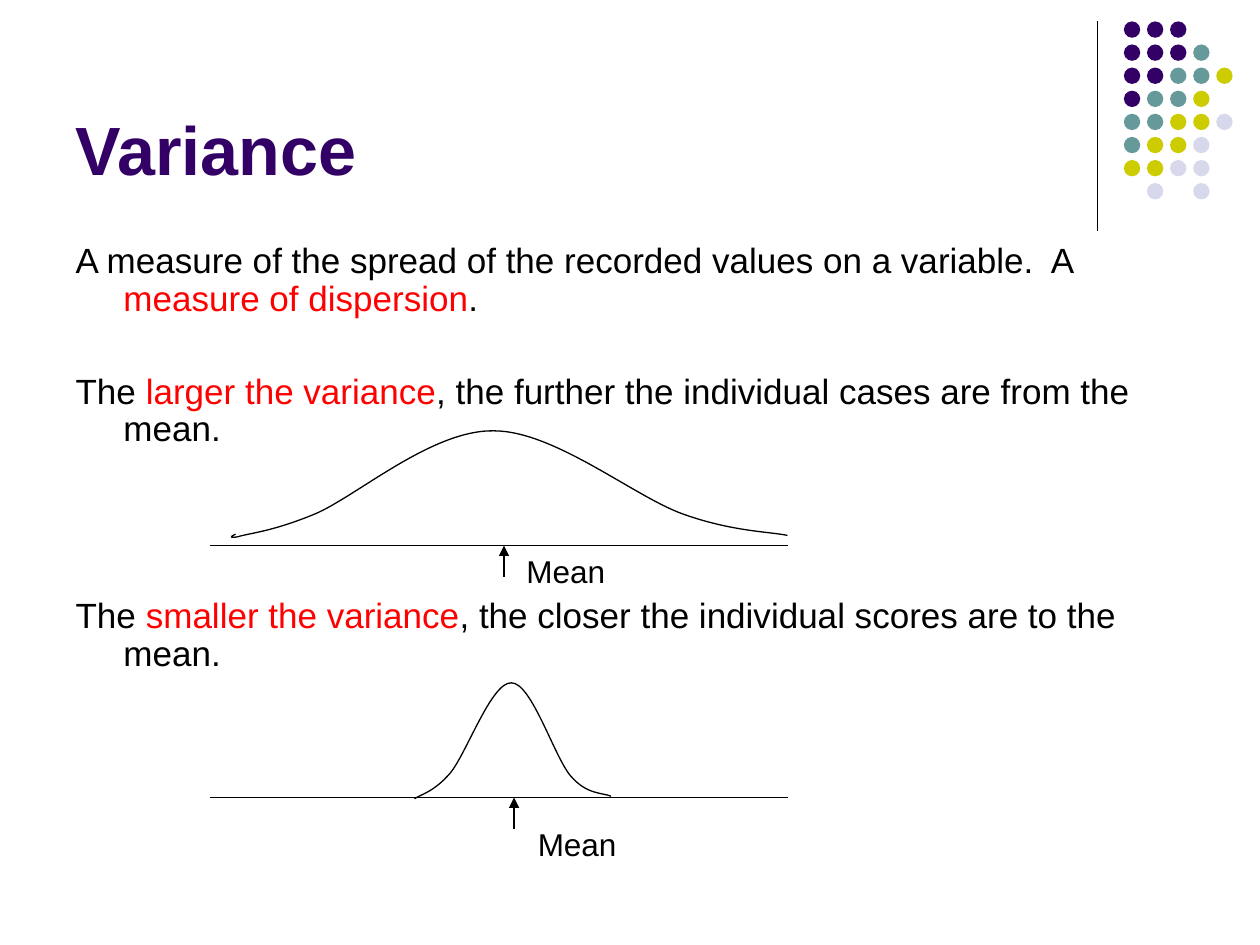
from lxml.etree import SubElement
from pptx import Presentation
from pptx.dml.color import RGBColor
from pptx.enum.shapes import MSO_CONNECTOR, MSO_SHAPE
from pptx.enum.text import MSO_ANCHOR, MSO_AUTO_SIZE, PP_ALIGN
from pptx.oxml.ns import qn
from pptx.util import Inches, Pt

BLACK, RED, PURPLE = "000000", "FF0000", "330066"
TEAL, OLIVE, LILAC = "669999", "CCCC00", "D8D8EC"


def add_run(paragraph, text, size=20, color=BLACK, bold=False):
    run = paragraph.add_run()
    run.text = text
    run.font.name = "Arial"
    run.font.size = Pt(size)
    run.font.bold = bold
    run.font.color.rgb = RGBColor.from_string(color)


presentation = Presentation()
presentation.slide_width = Inches(10)
presentation.slide_height = Inches(7.5)
slide = presentation.slides.add_slide(presentation.slide_layouts[1])

# Corner decoration: one letter per dot, a space where there is none
dot_colors = {"P": PURPLE, "T": TEAL, "O": OLIVE, "L": LILAC}
dot_rows = ["PPP", "PPPT", "PPTTO", "PTTO", "TTOOL", "TOOL", "OOLL", " L L"]
dot_pitch = 0.55 / 3
dots = slide.shapes.add_group_shape()
for row, letters in enumerate(dot_rows):
    for column, letter in enumerate(letters):
        if letter == " ":
            continue
        dot = dots.shapes.add_shape(
            MSO_SHAPE.OVAL, Inches(8.92 + column * dot_pitch),
            Inches(0.17 + row * dot_pitch), Inches(0.13), Inches(0.13))
        dot.shadow.inherit = False
        dot.fill.solid()
        dot.fill.fore_color.rgb = RGBColor.from_string(dot_colors[letter])
        dot.line.fill.background()

# Title
title = slide.shapes.title
title.left, title.top = Inches(0.5), Inches(0.13)
title.width, title.height = Inches(8.25), Inches(1.42)
title.text_frame.auto_size = MSO_AUTO_SIZE.NONE
title.text_frame.vertical_anchor = MSO_ANCHOR.BOTTOM
title.text_frame.paragraphs[0].alignment = PP_ALIGN.LEFT
add_run(title.text_frame.paragraphs[0], "Variance", size=39, color=PURPLE, bold=True)

# Body: space before, then plain, highlighted and plain text
statements = [
    (0, "A measure of the spread of the recorded values on a variable.  A ",
     "measure of dispersion", "."),
    (31.5, "The ", "larger the variance",
     ", the further the individual cases are from the mean."),
    (85, "The ", "smaller the variance",
     ", the closer the individual scores are to the mean."),
]
body = slide.placeholders[1]
body.left, body.top = Inches(0.5), Inches(1.88)
body.width, body.height = Inches(9), Inches(4.82)
body.text_frame.auto_size = MSO_AUTO_SIZE.NONE
for index, (space_before, opening, highlight, ending) in enumerate(statements):
    paragraph = body.text_frame.add_paragraph() if index else body.text_frame.paragraphs[0]
    properties = paragraph._p.get_or_add_pPr()
    properties.set("marL", str(Inches(0.38)))
    properties.set("indent", str(-Inches(0.38)))
    SubElement(properties, qn("a:buNone"))
    paragraph.line_spacing = 0.9
    paragraph.space_before = Pt(space_before)
    add_run(paragraph, opening)
    add_run(paragraph, highlight, color=RED)
    add_run(paragraph, ending)

# Distribution curves: start, then two control points and an end per segment
wide_curve = [
    (1.87, 4.24),
    (1.87, 4.24), (1.78, 4.28), (1.89, 4.26),
    (1.99, 4.23), (2.16, 4.22), (2.5, 4.08),
    (2.83, 3.94), (3.43, 3.41), (3.92, 3.42),
    (4.4, 3.42), (5.03, 3.94), (5.42, 4.08),
    (5.81, 4.22), (6.11, 4.22), (6.25, 4.25),
]
narrow_curve = [
    (3.29, 6.34),
    (3.33, 6.31), (3.44, 6.29), (3.57, 6.14),
    (3.7, 5.99), (3.9, 5.41), (4.06, 5.42),
    (4.22, 5.42), (4.4, 6.01), (4.53, 6.16),
    (4.66, 6.31), (4.78, 6.29), (4.85, 6.32),
]
for points in (wide_curve, narrow_curve):
    start, *others = [(Inches(x), Inches(y)) for x, y in points]
    builder = slide.shapes.build_freeform(*start)
    builder.add_line_segments(others, close=False)
    curve = builder.convert_to_shape()
    # Merge every three straight segments into one cubic curve
    outline = next(curve._element.iter(qn("a:path")))
    straight_segments = outline.findall(qn("a:lnTo"))
    for first in range(0, len(straight_segments), 3):
        cubic = SubElement(outline, qn("a:cubicBezTo"))
        for segment in straight_segments[first:first + 3]:
            cubic.append(segment[0])
            outline.remove(segment)
    curve.shadow.inherit = False
    curve.fill.background()
    curve.line.color.rgb = RGBColor.from_string(BLACK)
    curve.line.width = Pt(0.75)

# Divider, axes and mean arrows
lines = [
    (8.71, 0.17, 8.71, 1.83, False),
    (1.67, 4.33, 6.25, 4.33, False),
    (1.67, 6.33, 6.25, 6.33, False),
    (4, 4.58, 4, 4.33, True),
    (4.08, 6.58, 4.08, 6.33, True),
]
for *ends, has_arrowhead in lines:
    line = slide.shapes.add_connector(MSO_CONNECTOR.STRAIGHT, *map(Inches, ends))
    line.line.color.rgb = RGBColor.from_string(BLACK)
    line.line.width = Pt(0.75)
    if has_arrowhead:
        SubElement(line.line._get_or_add_ln(), qn("a:tailEnd"), type="triangle")
    SubElement(line._element.spPr, qn("a:effectLst"))

# Mean labels
for left, top in ((4.08, 4.33), (4.17, 6.5)):
    label = slide.shapes.add_textbox(Inches(left), Inches(top), Inches(1.5), Inches(0.4))
    label.text_frame.word_wrap = True
    label.text_frame.auto_size = MSO_AUTO_SIZE.SHAPE_TO_FIT_TEXT
    add_run(label.text_frame.paragraphs[0], "Mean", size=18)

presentation.save("out.pptx")
